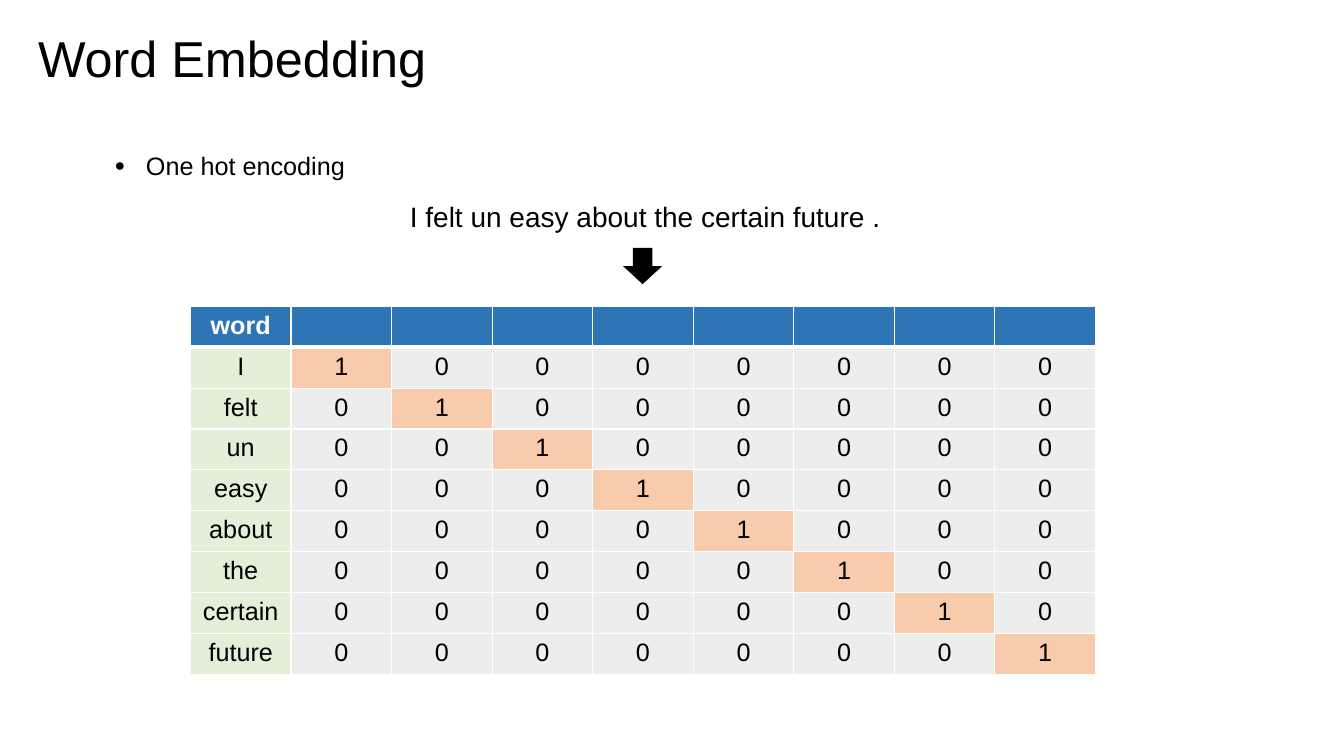
from lxml.etree import SubElement
from pptx import Presentation
from pptx.dml.color import RGBColor
from pptx.enum.shapes import MSO_SHAPE
from pptx.enum.text import MSO_ANCHOR, PP_ALIGN
from pptx.oxml.ns import qn
from pptx.util import Cm, Pt

TITLE = "Word Embedding"
TOPIC = "One hot encoding"
SENTENCE = "I felt un easy about the certain future ."
HEADING = "word"
WORDS = SENTENCE.split()[:-1]

COLOURS = {
    "text": "000000",
    "border": "FFFFFF",
    "heading text": "FFFFFF",
    "heading": "2E75B6",
    "word": "E2F0D9",
    "hot": "F8CBAD",
    "cold": "EDEDED",
}
FONT = "Arial"
# left, top, width, height in centimetres
PLACES = {
    "title": (0.71, 0.56, 10.31, 1.8),
    "topic": (2.64, 3.28, 7.44, 1.27),
    "sentence": (10.08, 4.9, 12.4, 1.12),
    "arrow": (15.7, 6.25, 0.99, 0.91),
    "table": (4.8, 7.72, 22.81, 9.27),
}
BULLET_INDENT = Cm(0.79)


def colour(name):
    return RGBColor.from_string(COLOURS[name])


def place(name):
    return [Cm(length) for length in PLACES[name]]


def write(para, text, size, ink="text", bold=False):
    span = para.add_run()
    span.text = text
    for attribute, value in {"name": FONT, "size": Pt(size), "bold": bold}.items():
        setattr(span.font, attribute, value)
    span.font.color.rgb = colour(ink)


def add_text(page, name, text, size, wrap=False):
    box = page.shapes.add_textbox(*place(name))
    box.text_frame.word_wrap = wrap
    para = box.text_frame.paragraphs[0]
    write(para, text, size)
    return para


def add_bullet(para):
    para.line_spacing = 1.5
    properties = para._p.get_or_add_pPr()
    properties.set("marL", str(BULLET_INDENT))
    properties.set("indent", str(-BULLET_INDENT))
    SubElement(properties, qn("a:buSzPct"), val="70000")
    SubElement(properties, qn("a:buFont"), typeface=FONT)
    SubElement(properties, qn("a:buChar"), char="●")


def add_borders(cell, widths):
    """Draw the cell's sides; widths maps L, R, T and B, in that order, to points."""
    properties = cell._tc.get_or_add_tcPr()
    for side, width in widths.items():
        line = SubElement(properties, qn(f"a:ln{side}"), w=str(Pt(width)))
        fill = SubElement(line, qn("a:solidFill"))
        SubElement(fill, qn("a:srgbClr"), val=COLOURS["border"])


def cell_kind(row, column):
    if row == 0:
        return "heading"
    if column == 0:
        return "word"
    return "hot" if row == column else "cold"


def add_encoding_table(page):
    count = len(WORDS)
    rows = [[HEADING] + [""] * count]
    for index, word in enumerate(WORDS):
        rows.append([word] + [str(int(index == other)) for other in range(count)])

    left, top, width, height = place("table")
    table = page.shapes.add_table(len(rows), len(rows[0]), left, top, width, height).table
    table.horz_banding = False
    for column in table.columns:
        column.width = width // len(rows[0])
    for row in table.rows:
        row.height = height // len(rows)

    for row, texts in enumerate(rows):
        for column, text in enumerate(texts):
            cell = table.cell(row, column)
            kind = cell_kind(row, column)
            heading = kind == "heading"
            add_borders(cell, {"L": 1, "R": 1, "T": 3 if row == 1 else 1, "B": 3 if heading else 1})
            cell.fill.solid()
            cell.fill.fore_color.rgb = colour(kind)
            cell.vertical_anchor = MSO_ANCHOR.TOP
            para = cell.text_frame.paragraphs[0]
            para.alignment = PP_ALIGN.CENTER
            if text:
                write(para, text, 18, "heading text" if heading else "text", heading)


def add_down_arrow(page):
    arrow = page.shapes.add_shape(MSO_SHAPE.DOWN_ARROW, *place("arrow"))
    arrow.shadow.inherit = False
    arrow.fill.solid()
    arrow.fill.fore_color.rgb = colour("text")
    arrow.line.fill.background()


def main():
    deck = Presentation()
    deck.slide_width, deck.slide_height = Cm(33.87), Cm(19.05)
    page = deck.slides.add_slide(deck.slide_layouts[6])
    add_text(page, "title", TITLE, 36)
    add_bullet(add_text(page, "topic", TOPIC, 18, wrap=True))
    add_encoding_table(page)
    add_text(page, "sentence", SENTENCE, 20)
    add_down_arrow(page)
    deck.save("out.pptx")


if __name__ == "__main__":
    main()
